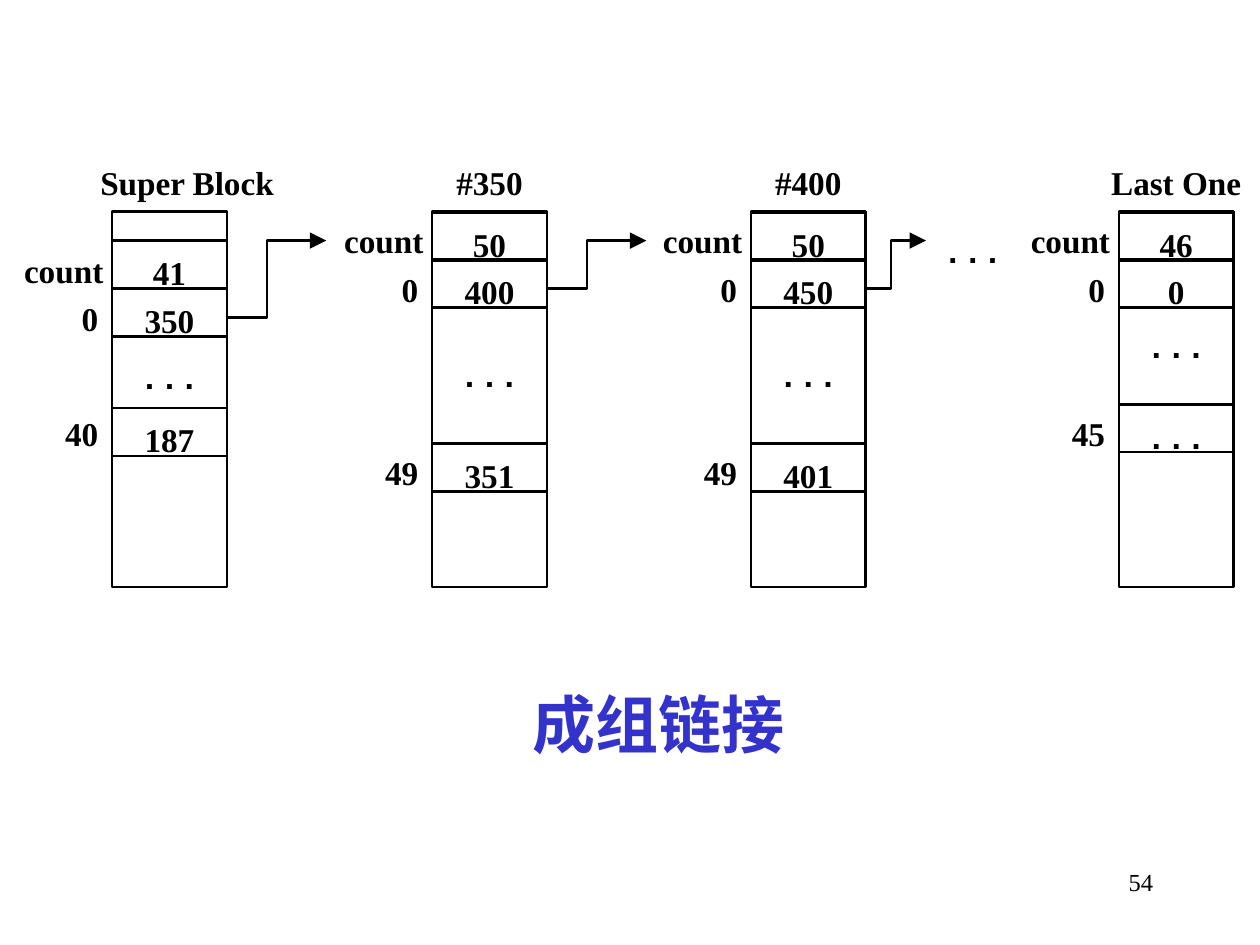
from pptx import Presentation
from pptx import util as u
from pptx.dml.color import RGBColor
from pptx.enum import shapes, text

BLACK = "000000"
BLUE = "3333CC"
SERIF = "Times New Roman"
MONO = "Courier New"
DOTS = "..."
DIGIT_WIDTH = 0.14
WORD_WIDTHS = {"count": 0.65, "Super Block": 1.4, "Last One": 1.06, DOTS: 0.49}
BLOCK_TOP, BLOCK_WIDTH, BLOCK_HEIGHT = 1.68, 0.91, 2.98
CELL_HEIGHT = 0.38
HEAD_SIZE = 0.13


def color(hex_string):
    """Turn a hex string into a colour."""
    return RGBColor.from_string(hex_string)


def add_text(slide, box, words, size, name=SERIF, hex_string=BLACK, bold=True):
    """Add a one-line text box and return its shape."""
    shape = slide.shapes.add_textbox(*map(u.Inches, box))
    shape.text_frame.word_wrap = False
    paragraph = shape.text_frame.paragraphs[0]
    paragraph.text = words
    font = paragraph.font
    font.size, font.name, font.bold = u.Pt(size), name, bold
    font.color.rgb = color(hex_string)
    return shape


def add_label(slide, words, x, top, anchor=0.5):
    """Add a tight label; anchor is the share of its width left of x."""
    width = WORD_WIDTHS.get(words, DIGIT_WIDTH * len(words))
    name = MONO if words == DOTS else SERIF
    shape = add_text(slide, (x - width * anchor, top, width, 0.32), words, 19, name)
    frame = shape.text_frame
    frame.margin_left = frame.margin_right = frame.margin_top = frame.margin_bottom = 0
    frame.auto_size = text.MSO_AUTO_SIZE.SHAPE_TO_FIT_TEXT
    aligned = text.PP_ALIGN.RIGHT if anchor == 1 else text.PP_ALIGN.CENTER
    frame.paragraphs[0].alignment = aligned


def add_outline(slide, left, top, height):
    """Add an unfilled rectangle as wide as a block."""
    box = map(u.Inches, (left, top, BLOCK_WIDTH, height))
    shape = slide.shapes.add_shape(shapes.MSO_SHAPE.RECTANGLE, *box)
    shape.shadow.inherit = False
    shape.fill.background()
    shape.line.color.rgb = color(BLACK)
    shape.line.width = u.Pt(1.39)


def add_block(slide, left, title, title_shift, dots_top, rows):
    """Add a free-block list with its title, cells and index labels."""
    center = left + BLOCK_WIDTH / 2
    add_label(slide, title, center + title_shift, 1.29)
    for index, index_top, value, cell_top in rows:
        add_outline(slide, left, cell_top, CELL_HEIGHT)
        add_label(slide, value, center, cell_top + 0.09)
        gap = 0.07 if index == "count" else 0.11
        add_label(slide, index, left - gap, index_top, anchor=1)
    add_label(slide, DOTS, center, dots_top)
    add_outline(slide, left, BLOCK_TOP, BLOCK_HEIGHT)


def add_path(slide, points, closed):
    """Add a freeform through points given in inches."""
    start, *rest = [(u.Inches(x), u.Inches(y)) for x, y in points]
    builder = slide.shapes.build_freeform(*start)
    builder.add_line_segments(rest, close=closed)
    shape = builder.convert_to_shape()
    shape.shadow.inherit = False
    return shape


def add_link(slide, left, top, bottom, bend, length):
    """Add a stepped link that rises to an arrowhead on its right."""
    right = left + length
    step = [(left, bottom), (left + bend, bottom), (left + bend, top), (right, top)]
    line = add_path(slide, step, False)
    line.fill.background()
    line.line.color.rgb = color(BLACK)
    line.line.width = u.Pt(1.39)
    half = HEAD_SIZE / 2
    tip = [(right, top + half), (right + HEAD_SIZE, top), (right, top - half)]
    head = add_path(slide, tip, True)
    head.fill.solid()
    head.fill.fore_color.rgb = color(BLACK)
    head.line.fill.background()


def group_rows(first, last):
    """Return the rows of a full group of fifty blocks."""
    return [("count", 1.75, "50", 1.69), ("0", 2.14, first, 2.06),
            ("49", 3.59, last, 3.52)]


def build_slide(presentation):
    """Place the chain of blocks, the caption and the page number."""
    slide = presentation.slides.add_slide(presentation.slide_layouts[6])
    super_rows = [("count", 1.99, "41", 1.91), ("0", 2.37, "350", 2.29),
                  ("40", 3.28, "187", 3.24)]
    last_rows = [("count", 1.75, "46", 1.69), ("0", 2.14, "0", 2.06),
                 ("45", 3.28, DOTS, 3.21)]
    blocks = [
        (0.89, "Super Block", 0.14, 2.83, super_rows),
        (3.43, "#350", 0, 2.81, group_rows("400", "351")),
        (5.96, "#400", 0, 2.81, group_rows("450", "401")),
        (8.88, "Last One", 0, 2.58, last_rows),
    ]
    for block in blocks:
        add_block(slide, *block)
    links = [(1.81, 2.52, 0.31, 0.65), (4.35, 2.29, 0.31, 0.65), (6.88, 2.29, 0.19, 0.34)]
    for left, bottom, bend, length in links:
        add_link(slide, left, 1.91, bottom, bend, length)
    add_label(slide, DOTS, 7.72, 1.83)
    caption = add_text(slide, (4.13, 5.39, 2.2, 0.7), "成组链接", 36, hex_string=BLUE)
    caption.text_frame.auto_size = text.MSO_AUTO_SIZE.SHAPE_TO_FIT_TEXT
    number = add_text(slide, (7.17, 6.83, 2.08, 0.5), "54", 14, bold=False)
    number.text_frame.word_wrap = True
    number.text_frame.paragraphs[0].alignment = text.PP_ALIGN.RIGHT


def main():
    """Build and save the presentation."""
    presentation = Presentation()
    presentation.slide_width = u.Inches(10)
    presentation.slide_height = u.Inches(7.5)
    build_slide(presentation)
    presentation.save("out.pptx")


if __name__ == "__main__":
    main()
